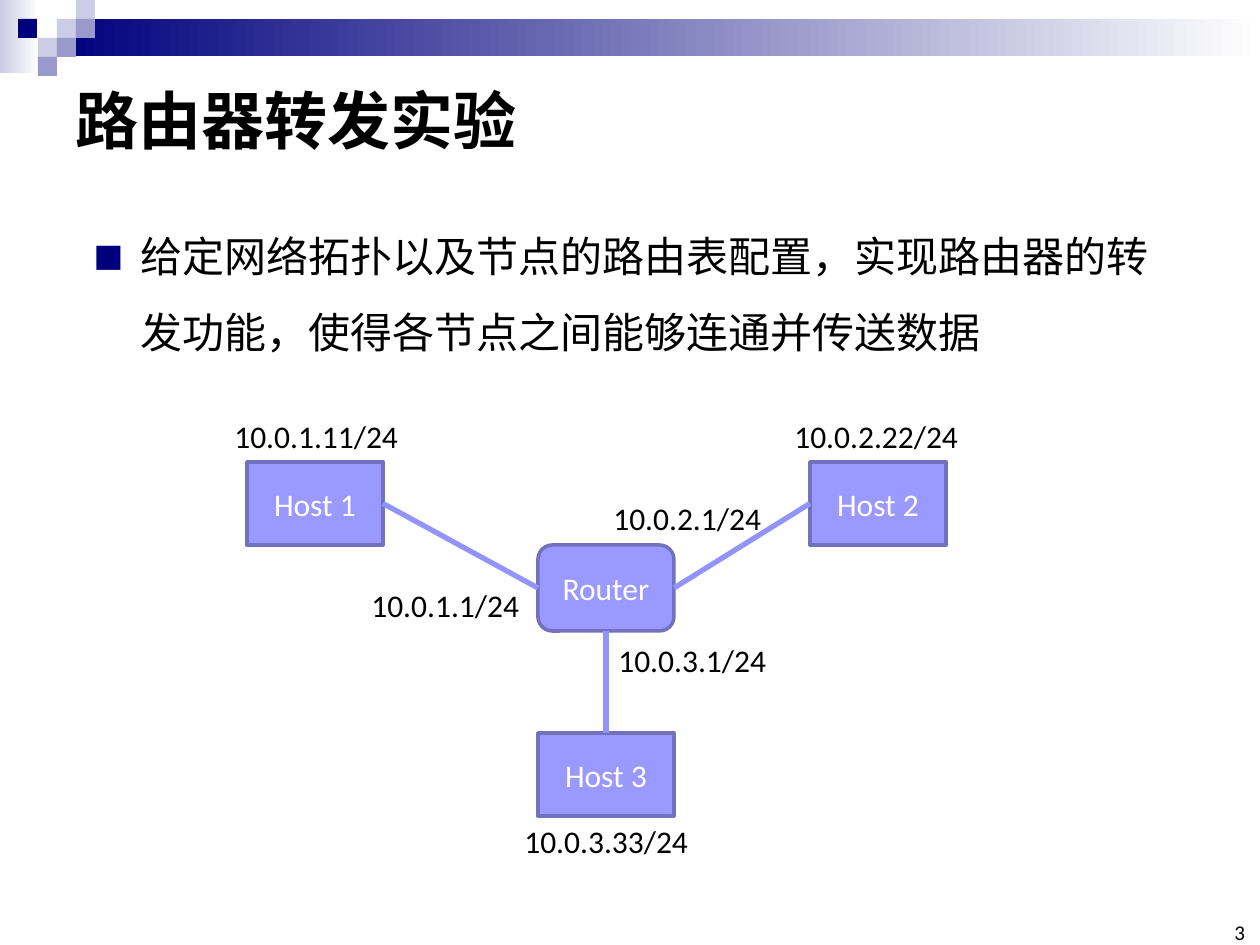
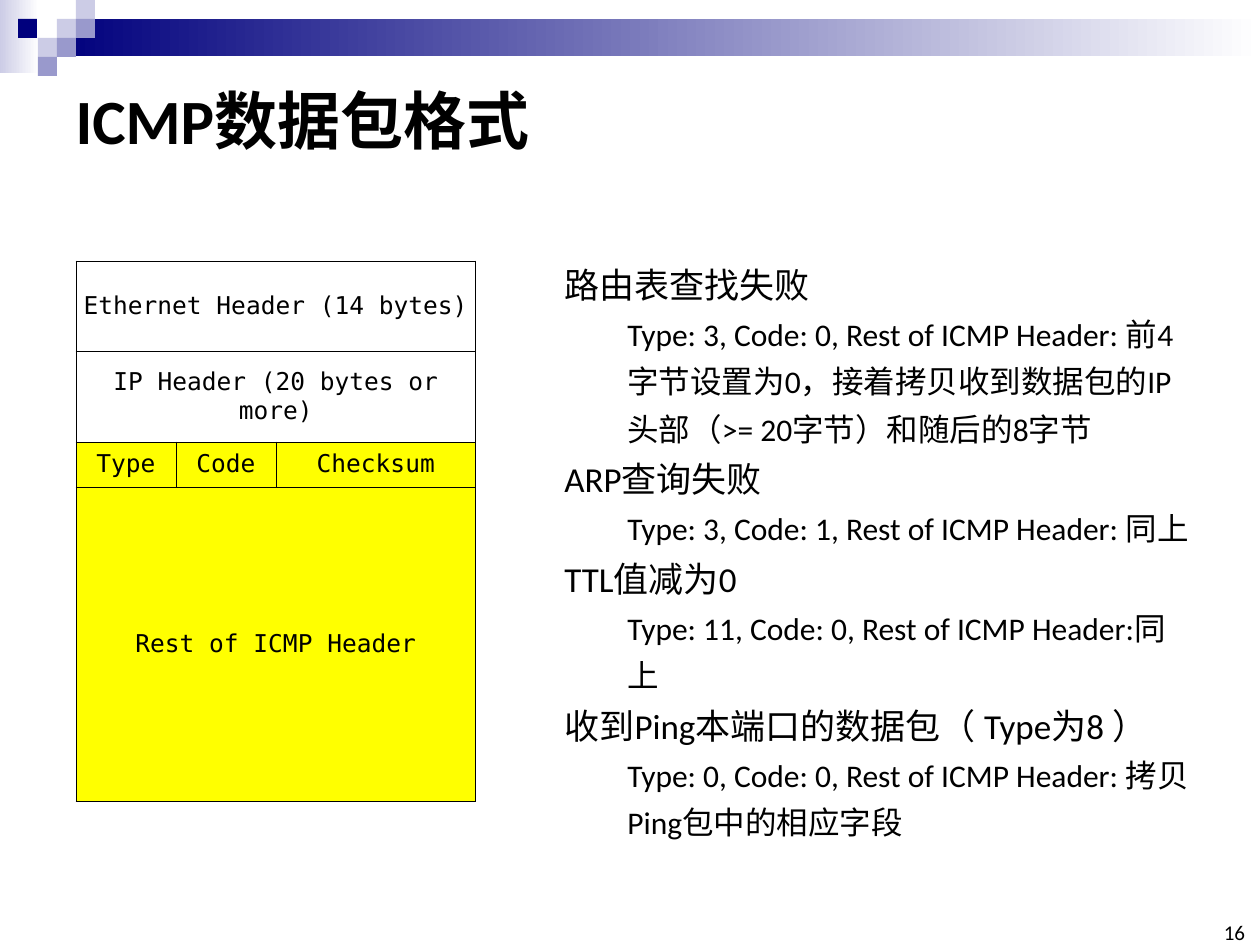
"""Build two slides on router forwarding and the ICMP packet format."""
from lxml import etree
from pptx import Presentation
from pptx import util as u
from pptx.dml.color import RGBColor
from pptx.enum import shapes, text
from pptx.oxml import ns

SCALE = 914400 / 126
FONT, MONO = "Calibri", "DejaVu Sans Mono"
BLACK, WHITE, YELLOW = "000000", "FFFFFF", "FFFF00"
NAVY, PALE, MID = "00007D", "CCCCE6", "9999CC"
NODE, EDGE, LINK = "9999FF", "7171BD", "9393FC"
RECT = shapes.MSO_SHAPE.RECTANGLE
ROUND = shapes.MSO_SHAPE.ROUNDED_RECTANGLE
LEFT, CENTER, RIGHT = (text.PP_ALIGN.LEFT, text.PP_ALIGN.CENTER,
                       text.PP_ALIGN.RIGHT)
TOP, MIDDLE, BOTTOM = (text.MSO_ANCHOR.TOP, text.MSO_ANCHOR.MIDDLE,
                       text.MSO_ANCHOR.BOTTOM)
STEP = 19
COLS = (18, 38, 57, 76)
TILES = [(2, 1, PALE), (3, 0, PALE), (3, 1, MID), (1, 2, PALE),
         (0, 1, NAVY), (2, 2, MID), (1, 3, MID)]


def px(n):
    """Turn pixels into EMU."""
    return u.Emu(round(n * SCALE))


def rgb(code):
    """Turn a hex string into a colour."""
    return RGBColor.from_string(code)


def node(parent, tag, **attrs):
    """Append a drawing element to an XML parent."""
    item = etree.SubElement(parent, ns.qn(tag))
    for key, val in attrs.items():
        item.set(key, str(val))
    return item


def write(par, words, size, color=BLACK, bold=False, font=FONT, align=LEFT):
    """Add one formatted run to a paragraph."""
    par.alignment = align
    run = par.add_run()
    run.text = words
    run.font.size = u.Pt(size)
    run.font.name = font
    run.font.bold = bold
    run.font.color.rgb = rgb(color)


def place(shape, x, y, w, h):
    """Move and size a shape."""
    shape.left, shape.top, shape.width, shape.height = map(px, (x, y, w, h))


def block(slide, box, fill, kind=RECT):
    """Draw a plain shape, filled with one colour or a gradient pair."""
    shape = slide.shapes.add_shape(kind, *map(px, box))
    shape.shadow.inherit = False
    shape.line.fill.background()
    if isinstance(fill, str):
        shape.fill.solid()
        shape.fill.fore_color.rgb = rgb(fill)
    else:
        shape.fill.gradient()
        shape.fill.gradient_angle = 0
        for stop, code, pos in zip(shape.fill.gradient_stops, fill, (0, 1)):
            stop.color.rgb = rgb(code)
            stop.position = pos
    return shape


def label(slide, words, x, y, w, h=51):
    """Add a one-line address label."""
    box = slide.shapes.add_textbox(*map(px, (x, y, w, h)))
    frame = box.text_frame
    frame.word_wrap = False
    frame.auto_size = text.MSO_AUTO_SIZE.SHAPE_TO_FIT_TEXT
    write(frame.paragraphs[0], words, 18)


def device(slide, name, x, y, h=83, kind=RECT):
    """Draw a named network node."""
    shape = block(slide, (x, y, 136, h), NODE, kind)
    shape.line.color.rgb = rgb(EDGE)
    shape.line.width = u.Pt(2)
    shape.text_frame.vertical_anchor = MIDDLE
    write(shape.text_frame.paragraphs[0], name, 18, WHITE, align=CENTER)
    return shape


def link(slide, start, out, end, into):
    """Connect two nodes at the given connection sites."""
    line = slide.shapes.add_connector(shapes.MSO_CONNECTOR.STRAIGHT, 0, 0, 0, 0)
    line.begin_connect(start, out)
    line.end_connect(end, into)
    line.line.color.rgb = rgb(LINK)
    line.line.width = u.Pt(3)
    node(line._element.spPr, "a:effectLst")


def base(deck, layout, title, number):
    """Add a slide with the shared band, title and page number."""
    slide = deck.slides.add_slide(deck.slide_layouts[layout])
    block(slide, (0, 0, 39, 73), (PALE, WHITE))
    block(slide, (57, STEP, 1203, 37), (NAVY, WHITE))
    for col, row, code in TILES:
        block(slide, (COLS[col], row * STEP, STEP, STEP), code)
    head = slide.shapes.title
    place(head, 63, 63, 1134, 112)
    head.text_frame.vertical_anchor = MIDDLE
    head.text_frame.auto_size = text.MSO_AUTO_SIZE.NONE
    write(head.text_frame.paragraphs[0], title, 36, bold=True)
    page = slide.shapes.add_textbox(*map(px, (1216, 924, 29, 21)))
    frame = page.text_frame
    frame.word_wrap = True
    frame.vertical_anchor = BOTTOM
    frame.margin_left = frame.margin_right = 0
    frame.margin_top = frame.margin_bottom = 0
    write(frame.paragraphs[0], number, 12, align=RIGHT)
    return slide


def bullet(slide, words):
    """Fill the body placeholder with one square-bulleted item."""
    body = slide.placeholders[1]
    place(body, 81, 199, 1086, 199)
    frame = body.text_frame
    frame.auto_size = text.MSO_AUTO_SIZE.NONE
    frame.vertical_anchor = TOP
    par = frame.paragraphs[0]
    par.line_spacing = 1.5
    par.space_before = u.Pt(0)
    write(par, words, 24)
    props = par._p.get_or_add_pPr()
    props.set("marL", str(px(47)))
    props.set("indent", str(-px(47)))
    node(node(props, "a:buClr"), "a:srgbClr", val=NAVY)
    node(props, "a:buSzPct", val=75000)
    node(props, "a:buFont", typeface=FONT)
    node(props, "a:buChar", char="■")


def cases(slide, items):
    """List each case with its indented field values."""
    box = slide.shapes.add_textbox(*map(px, (552, 247, 658, 602)))
    frame = box.text_frame
    frame.word_wrap = True
    frame.auto_size = text.MSO_AUTO_SIZE.SHAPE_TO_FIT_TEXT
    lines = [(lvl, words) for pair in items for lvl, words in enumerate(pair)]
    for i, (lvl, words) in enumerate(lines):
        par = frame.add_paragraph() if i else frame.paragraphs[0]
        par.level = lvl
        par.line_spacing = 1.25
        write(par, words, 18 if lvl else 20)
        props = par._p.get_or_add_pPr()
        props.set("marL", str(px(63 * lvl)))
        props.set("indent", "0")


def border(cell):
    """Draw thin black lines on all sides of a cell."""
    props = cell._tc.get_or_add_tcPr()
    for i, side in enumerate("LRTB"):
        line = node(props, f"a:ln{side}", w=u.Pt(0.5))
        node(node(line, "a:solidFill"), "a:srgbClr", val=BLACK)
        props.insert(i, line)


def packet(slide, rows):
    """Draw the packet layout; a row of one field spans all columns."""
    widths, heights = (100, 100, 200), (90, 91, 45, 314)
    box = (76, 261, sum(widths), sum(heights))
    grid = slide.shapes.add_table(len(rows), 3, *map(px, box)).table
    grid.first_row = grid.horz_banding = False
    for col, w in zip(grid.columns, widths):
        col.width = px(w)
    for r, (fill, names) in enumerate(rows):
        grid.rows[r].height = px(heights[r])
        for c in range(3):
            cell = grid.cell(r, c)
            cell.fill.solid()
            cell.fill.fore_color.rgb = rgb(fill)
            cell.vertical_anchor = MIDDLE
            cell.margin_left = cell.margin_right = 0
            cell.margin_top = cell.margin_bottom = 0
            border(cell)
        if len(names) == 1:
            grid.cell(r, 0).merge(grid.cell(r, 2))
        for c, name in enumerate(names):
            par = grid.cell(r, c).text_frame.paragraphs[0]
            write(par, name, 14, font=MONO, align=CENTER)


def topology(deck):
    """Build the router experiment slide."""
    slide = base(deck, 1, "路由器转发实验", "3")
    bullet(slide, "给定网络拓扑以及节点的路由表配置，实现路由器的转发功能，"
                  "使得各节点之间能够连通并传送数据")
    one = device(slide, "Host 1", 247, 462)
    two = device(slide, "Host 2", 810, 462)
    three = device(slide, "Host 3", 538, 733)
    router = device(slide, "Router", 538, 545, 86, ROUND)
    link(slide, one, 3, router, 1)
    link(slide, router, 3, two, 1)
    link(slide, router, 2, three, 0)
    for words, x, y in [("10.0.1.11/24", 222, 411), ("10.0.2.22/24", 782, 411),
                        ("10.0.3.33/24", 512, 816)]:
        label(slide, words, x, y, 190)
    for words, x, y in [("10.0.1.1/24", 359, 580), ("10.0.2.1/24", 601, 493),
                        ("10.0.3.1/24", 606, 635)]:
        label(slide, words, x, y, 175)


def icmp(deck):
    """Build the ICMP packet format slide."""
    slide = base(deck, 5, "ICMP数据包格式", "16")
    packet(slide, [
        (WHITE, ["Ethernet Header (14 bytes)"]),
        (WHITE, ["IP Header (20 bytes or more)"]),
        (YELLOW, ["Type", "Code", "Checksum"]),
        (YELLOW, ["Rest of ICMP Header"]),
    ])
    cases(slide, [
        ("路由表查找失败",
         "Type: 3, Code: 0, Rest of ICMP Header: 前4字节设置为0，"
         "接着拷贝收到数据包的IP头部（>= 20字节）和随后的8字节"),
        ("ARP查询失败", "Type: 3, Code: 1, Rest of ICMP Header: 同上"),
        ("TTL值减为0", "Type: 11, Code: 0, Rest of ICMP Header:同上"),
        ("收到Ping本端口的数据包（ Type为8 ）",
         "Type: 0, Code: 0, Rest of ICMP Header: 拷贝Ping包中的相应字段"),
    ])


def main():
    """Build and save the deck."""
    deck = Presentation()
    deck.slide_width, deck.slide_height = px(1260), px(945)
    topology(deck)
    icmp(deck)
    deck.save("out.pptx")


main()
